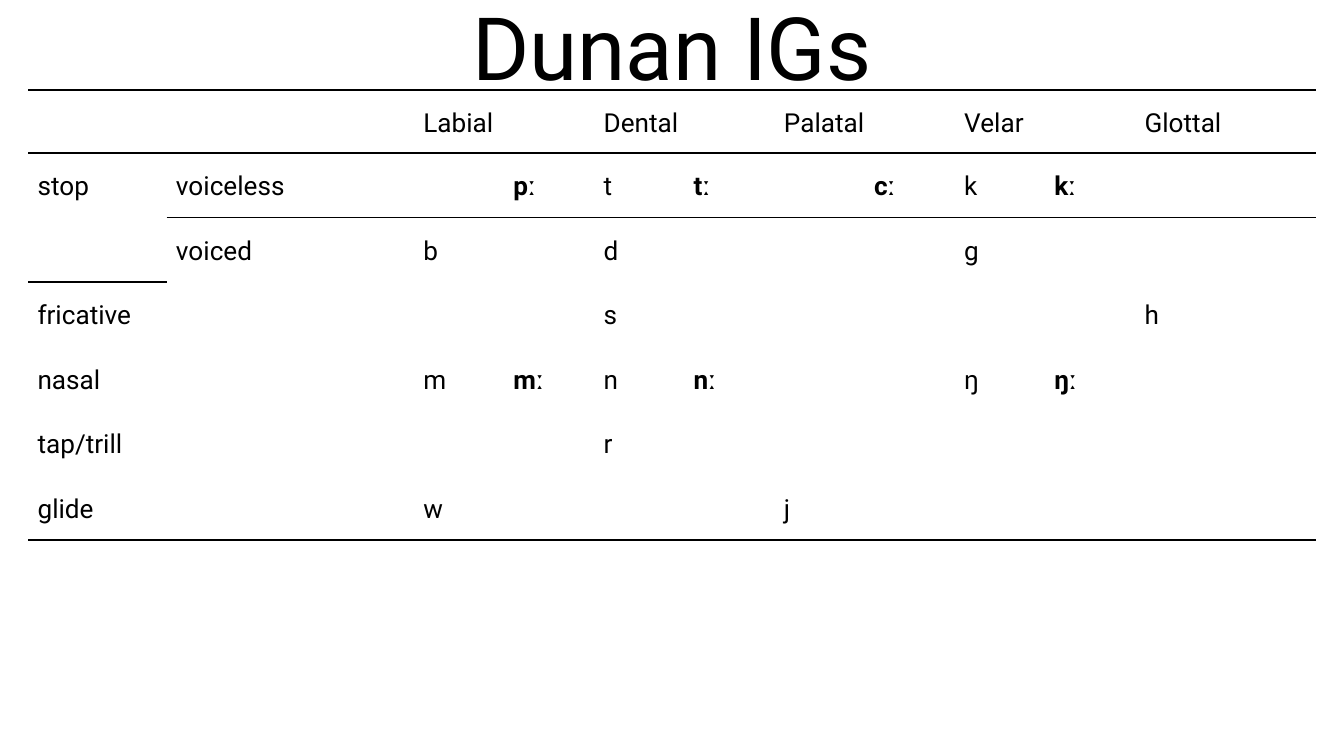
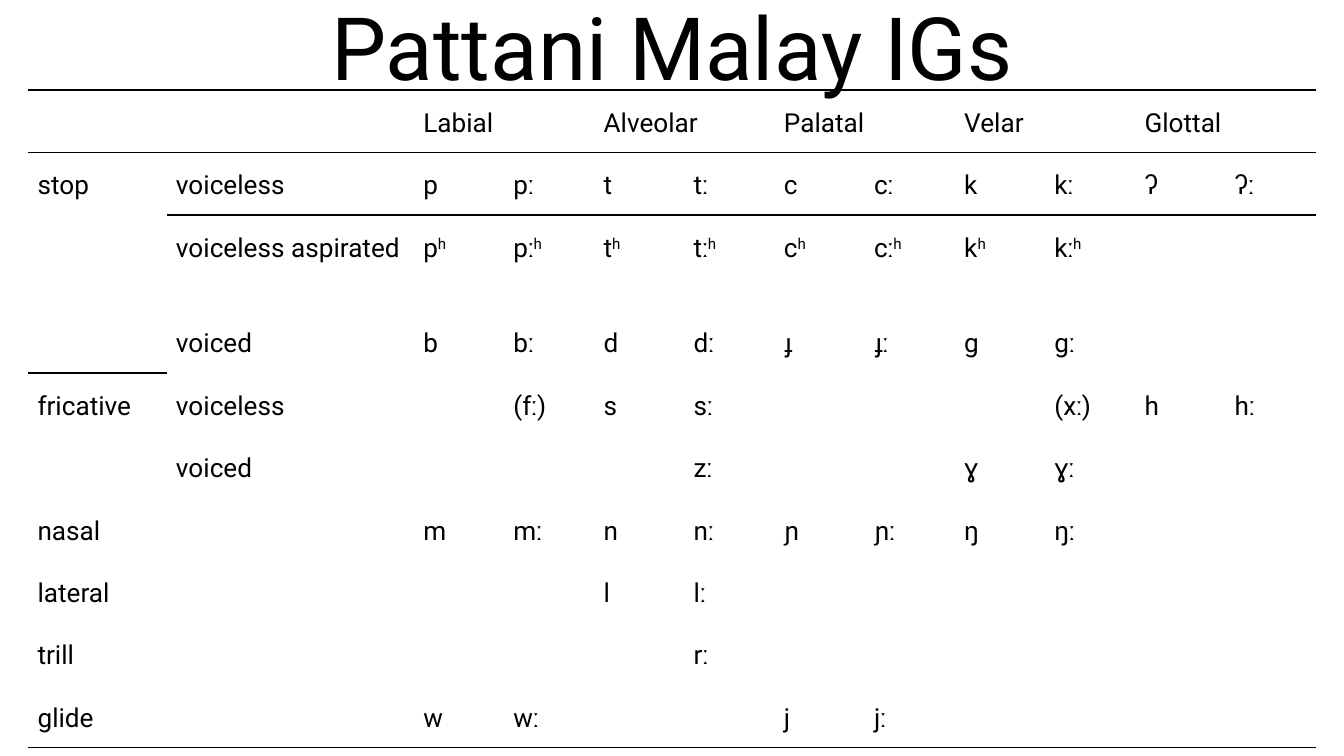
from lxml.etree import SubElement
from pptx import Presentation
from pptx.dml.color import RGBColor
from pptx.enum.text import MSO_ANCHOR, MSO_AUTO_SIZE, PP_ALIGN
from pptx.oxml.ns import qn
from pptx.util import Inches, Pt

FONT = "Roboto"
BLACK = "000000"
NO_GRID_STYLE = "{2D5ABB26-0587-4C30-8999-92F81FD0307C}"

# Grid shared by both consonant tables, in inches
TABLE_LEFT, TABLE_TOP, TABLE_WIDTH = 0.21, 0.67, 9.58
LABEL_WIDTHS = [1.03, 1.84]
SOUND_COLUMNS = 10
SOUND_WIDTH = (TABLE_WIDTH - sum(LABEL_WIDTHS)) / SOUND_COLUMNS
COLUMN_WIDTHS = LABEL_WIDTHS + [SOUND_WIDTH] * SOUND_COLUMNS

# One line per manner of articulation; "^" starts a superscript
INVENTORIES = [
    {
        "title": "Dunan IGs",
        "places": ["Labial", "Dental", "Palatal", "Velar", "Glottal"],
        "rows": [
            "stop|voiceless||pː|t|tː||cː|k|kː||",
            "|voiced|b||d||||g|||",
            "fricative||||s||||||h|",
            "nasal||m|mː|n|nː|||ŋ|ŋː||",
            "tap/trill||||r|||||||",
            "glide||w||||j|||||",
        ],
        "heights": [0.47] + [0.48] * 6,
        "stop_rows": 2,
        "bold_long": True,
    },
    {
        "title": "Pattani Malay IGs",
        "places": ["Labial", "Alveolar", "Palatal", "Velar", "Glottal"],
        "rows": [
            "stop|voiceless|p|pː|t|tː|c|cː|k|kː|ʔ|ʔː",
            "|voiceless aspirated|p^h|pː^h|t^h|tː^h|c^h|cː^h|k^h|kː^h||",
            "|voiced|b|bː|d|dː|ɟ|ɟː|g|gː||",
            "fricative|voiceless||(fː)|s|sː||||(xː)|h|hː",
            "|voiced||||zː|||ɣ|ɣː||",
            "nasal||m|mː|n|nː|ɲ|ɲː|ŋ|ŋː||",
            "lateral||||l|lː||||||",
            "trill|||||rː||||||",
            "glide||w|wː|||j|jː||||",
        ],
        "heights": [0.45, 0.45, 0.71] + [0.45] * 7,
        "stop_rows": 3,
        "bold_long": False,
    },
]


def style_span(span, size, color=BLACK):
    span.font.name = FONT
    span.font.size = Pt(size)
    span.font.color.rgb = RGBColor.from_string(color)


def draw_rule(cell, side, color=BLACK):
    line = SubElement(cell._tc.get_or_add_tcPr(), qn(f"a:ln{side}"), w=str(Pt(1)))
    fill = SubElement(line, qn("a:solidFill"))
    SubElement(fill, qn("a:srgbClr"), val=color)


# Widescreen deck, 16 by 9
deck = Presentation()
deck.slide_width = Inches(10)
deck.slide_height = deck.slide_width * 9 // 16

for inventory in INVENTORIES:
    page = deck.slides.add_slide(deck.slide_layouts[0])
    subtitle = page.placeholders[1]
    subtitle._element.getparent().remove(subtitle._element)

    # Title
    title = page.shapes.title
    title.left, title.top = Inches(0.34), 0
    title.width, title.height = Inches(9.32), Inches(0.83)
    frame = title.text_frame
    frame.text = inventory["title"]
    frame.auto_size = MSO_AUTO_SIZE.NONE
    frame.vertical_anchor = MSO_ANCHOR.BOTTOM
    frame.margin_left = frame.margin_right = Inches(0.1)
    frame.margin_top = frame.margin_bottom = Inches(0.1)
    frame.paragraphs[0].alignment = PP_ALIGN.CENTER
    style_span(frame.paragraphs[0].runs[0], 46.8)

    # Table grid
    header = ["", ""]
    for place in inventory["places"]:
        header += [place, ""]
    rows = [header] + [row.split("|") for row in inventory["rows"]]
    heights = inventory["heights"]
    holder = page.shapes.add_table(
        len(rows), len(COLUMN_WIDTHS), Inches(TABLE_LEFT), Inches(TABLE_TOP),
        Inches(TABLE_WIDTH), Inches(sum(heights)))
    table = holder.table
    table.first_row = table.horz_banding = False
    holder._element.find(".//" + qn("a:tableStyleId")).text = NO_GRID_STYLE
    for column, width in zip(table.columns, COLUMN_WIDTHS):
        column.width = Inches(width)
    for row, height in zip(table.rows, heights):
        row.height = Inches(height)

    # Merged headings
    for first in range(0, len(COLUMN_WIDTHS), 2):
        table.cell(0, first).merge(table.cell(0, first + 1))
    stop_end = inventory["stop_rows"]
    table.cell(1, 0).merge(table.cell(stop_end, 0))

    # Rules, fills and text
    for r, words in enumerate(rows):
        for c, word in enumerate(words):
            cell = table.cell(r, c)
            if r <= 1:
                draw_rule(cell, "T")
            under_voiceless = r == 1 and c > 0
            under_stop = c == 0 and r in (1, stop_end)
            if r in (0, len(rows) - 1) or under_voiceless or under_stop:
                draw_rule(cell, "B")
            cell.fill.background()
            if not word:
                continue
            cell.margin_left = cell.margin_right = Inches(0.07)
            cell.margin_top = cell.margin_bottom = Inches(0.1)
            para = cell.text_frame.paragraphs[0]
            para.line_spacing = 1.15
            for part, piece in enumerate(word.split("^")):
                span = para.add_run()
                span.text = piece
                style_span(span, 14)
                if part:
                    span.font._element.set("baseline", "30000")
                if inventory["bold_long"] and piece.endswith("ː"):
                    span.font.bold = True

deck.save("out.pptx")
